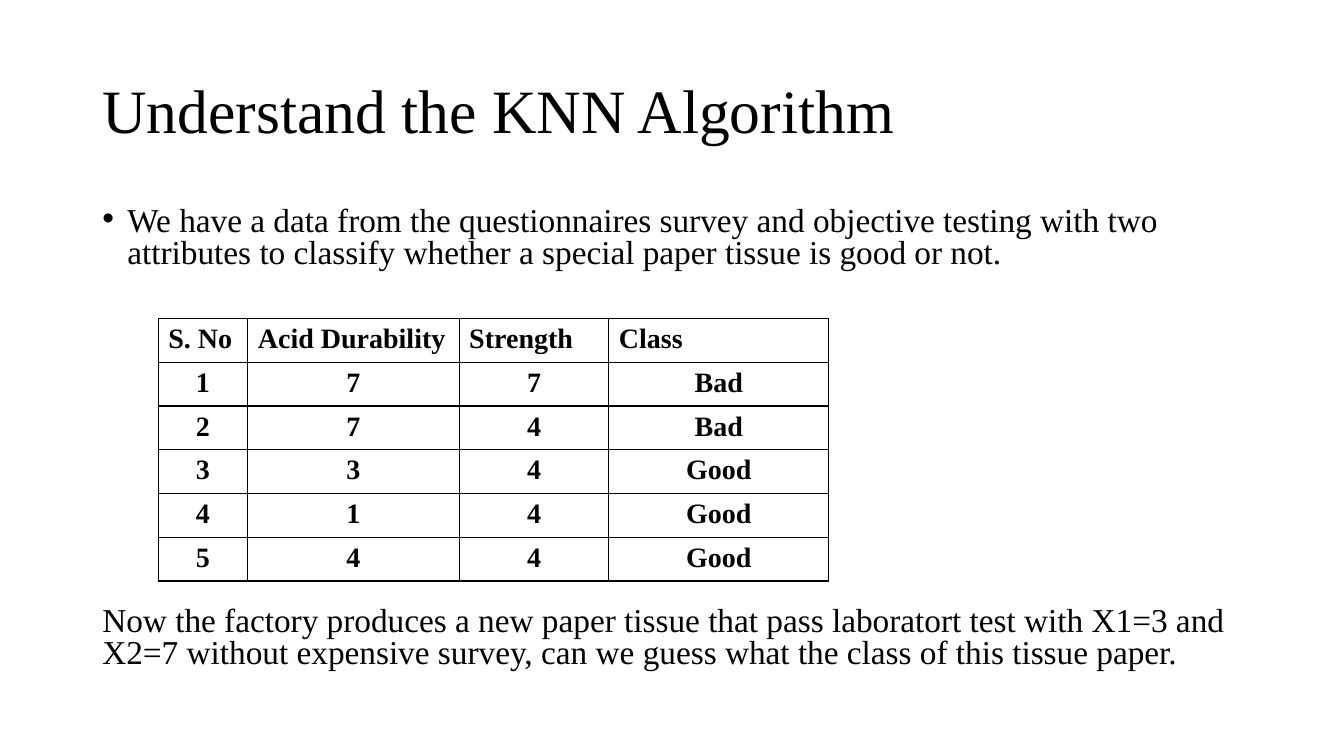
from lxml import etree
from pptx import Presentation
from pptx.dml.color import RGBColor
from pptx.enum.text import MSO_ANCHOR, PP_ALIGN
from pptx.oxml.ns import qn
from pptx.util import Pt

BLACK = RGBColor(0, 0, 0)
FONT = "Times New Roman"
TOP, MIDDLE = MSO_ANCHOR.TOP, MSO_ANCHOR.MIDDLE
LEFT, CENTER = PP_ALIGN.LEFT, PP_ALIGN.CENTER

TITLE = "Understand the KNN Algorithm"
SURVEY = ("We have a data from the questionnaires survey and objective testing with two "
          "attributes to classify whether a special paper tissue is good or not.")
QUESTION = ("Now the factory produces a new paper tissue that pass laboratort test with X1=3 and "
            "X2=7 without expensive survey, can we guess what the class of this tissue paper.")
SAMPLES = [
    ("S. No", "Acid Durability", "Strength", "Class"),
    ("1", "7", "7", "Bad"),
    ("2", "7", "4", "Bad"),
    ("3", "3", "4", "Good"),
    ("4", "1", "4", "Good"),
    ("5", "4", "4", "Good"),
]
COLUMN_WIDTHS = (64, 151, 107, 157)
ROW_HEIGHT = 30


def format_paragraph(paragraph, size, bold=False):
    """Set the font of every run in a paragraph."""
    for run in paragraph.runs:
        run.font.name = FONT
        run.font.size = Pt(size)
        run.font.bold = bold
        run.font.color.rgb = BLACK


def add_text(slide, top, height, texts, size, line_spacing, anchor):
    """Add a full-width text box and return its paragraphs."""
    shape = slide.shapes.add_textbox(Pt(66), Pt(top), Pt(828), Pt(height))
    text_frame = shape.text_frame
    text_frame.word_wrap = True
    text_frame.vertical_anchor = anchor
    text_frame.text = "\n".join(texts)
    for paragraph in text_frame.paragraphs:
        paragraph.line_spacing = line_spacing
        format_paragraph(paragraph, size)
    return text_frame.paragraphs


def add_bullet(paragraph, indent):
    """Give a paragraph a round bullet with a hanging indent."""
    properties = paragraph._p.get_or_add_pPr()
    properties.set("marL", str(Pt(indent)))
    properties.set("indent", str(-Pt(indent)))
    etree.SubElement(properties, qn("a:buFont"), typeface="Arial")
    etree.SubElement(properties, qn("a:buChar"), char="•")


def add_borders(cell, width):
    """Draw black lines on all four sides of a cell."""
    properties = cell._tc.get_or_add_tcPr()
    for position, side in enumerate(("a:lnL", "a:lnR", "a:lnT", "a:lnB")):
        line = etree.Element(qn(side), w=str(Pt(width)))
        fill = etree.SubElement(line, qn("a:solidFill"))
        etree.SubElement(fill, qn("a:srgbClr"), val=str(BLACK))
        properties.insert(position, line)


def add_sample_table(slide, left, top):
    """Add the bordered table of tissue samples."""
    frame = slide.shapes.add_table(
        len(SAMPLES), len(COLUMN_WIDTHS), Pt(left), Pt(top),
        Pt(sum(COLUMN_WIDTHS)), Pt(ROW_HEIGHT * len(SAMPLES)))
    table = frame.table
    for column, width in zip(table.columns, COLUMN_WIDTHS):
        column.width = Pt(width)
    for row_index, values in enumerate(SAMPLES):
        for column_index, value in enumerate(values):
            cell = table.cell(row_index, column_index)
            cell.text_frame.text = value
            paragraph = cell.text_frame.paragraphs[0]
            paragraph.alignment = CENTER if row_index else LEFT
            format_paragraph(paragraph, 20, bold=True)
            cell.fill.background()
            add_borders(cell, 1)


def main():
    """Build the slide and save it."""
    presentation = Presentation()
    presentation.slide_width, presentation.slide_height = Pt(960), Pt(540)
    slide = presentation.slides.add_slide(presentation.slide_layouts[6])
    add_text(slide, 28.8, 104.4, [TITLE], 44, 0.9, MIDDLE)
    survey, question = add_text(slide, 144, 342.7, [SURVEY, QUESTION], 23.8, 0.8, TOP)
    add_bullet(survey, 18)
    question.space_before = Pt(240)
    add_sample_table(slide, 113, 227.5)
    presentation.save("out.pptx")


if __name__ == "__main__":
    main()
